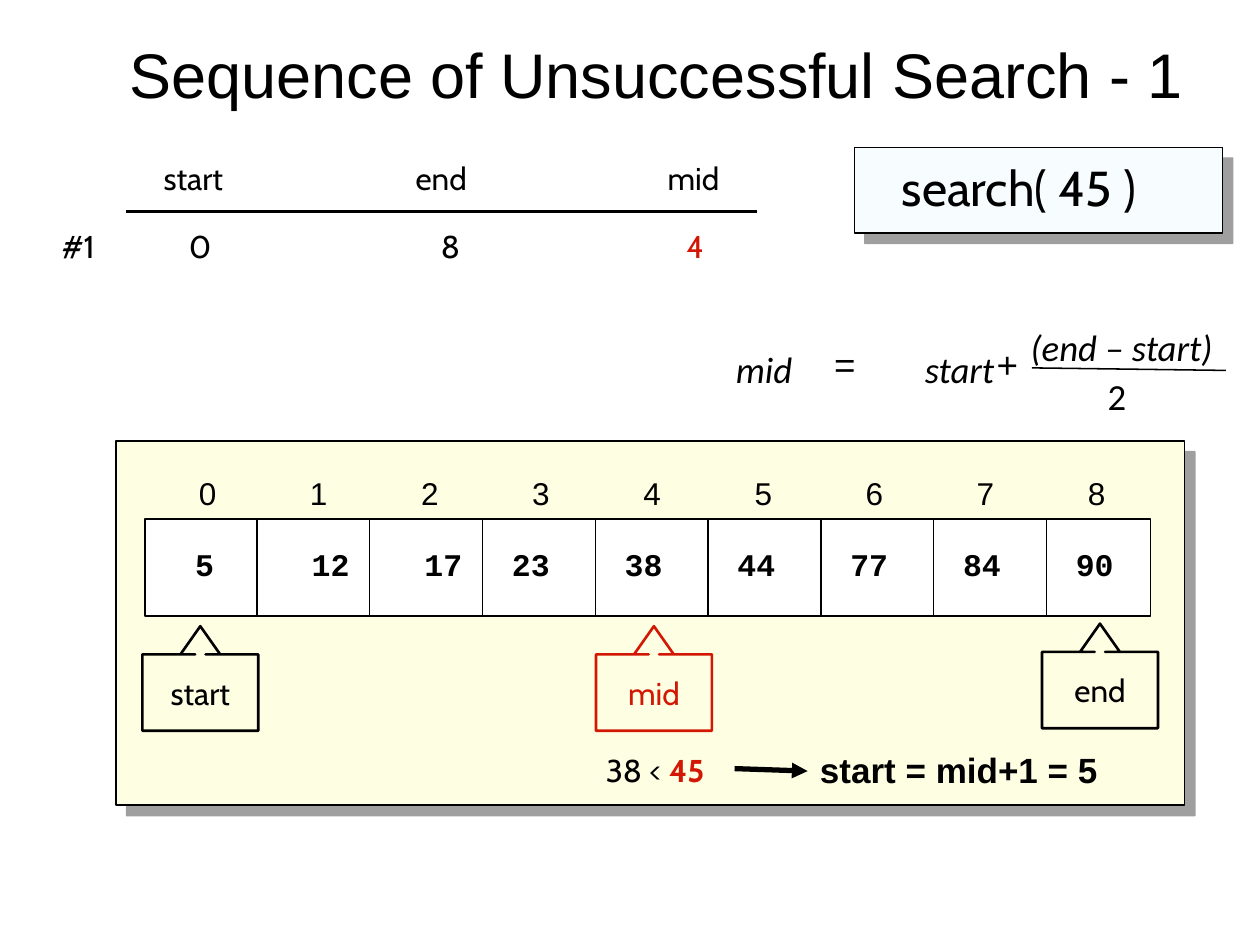
"""Build a slide that shows the first step of an unsuccessful binary search."""
import lxml.etree
import pptx
import pptx.dml.color
import pptx.enum.shapes
import pptx.enum.text
import pptx.oxml
import pptx.util

COLORS = {"ink": "000000", "accent": "D21804", "call": "F7FDFF",
          "panel": "FDFEE2", "cell": "FFFFFF", "shadow": "808080"}
INK = {name: pptx.dml.color.RGBColor.from_string(code) for name, code in COLORS.items()}
FORMATS = {
    "title": {"name": "Arial", "size": pptx.util.Pt(36)},
    "call": {"name": "Cabin", "size": pptx.util.Pt(28)},
    "label": {"name": "Cabin", "size": pptx.util.Pt(18)},
    "strong": {"name": "Cabin", "size": pptx.util.Pt(18), "bold": True},
    "index": {"name": "Arial", "size": pptx.util.Pt(18)},
    "value": {"name": "Courier New", "size": pptx.util.Pt(18), "bold": True},
    "result": {"name": "Arial", "size": pptx.util.Pt(20), "bold": True},
    "term": {"name": "Calibri", "size": pptx.util.Pt(21), "italic": True},
    "number": {"name": "Calibri", "size": pptx.util.Pt(21)},
    "operator": {"name": "Arial", "size": pptx.util.Pt(21)},
}
A = "http://schemas.openxmlformats.org/drawingml/2006/main"
SHAPE = pptx.enum.shapes.MSO_SHAPE

deck = pptx.Presentation()
deck.slide_width, deck.slide_height = pptx.util.Inches(10), pptx.util.Inches(7.5)
slide = deck.slides.add_slide(deck.slide_layouts[6])
column, row = deck.slide_width / 100, deck.slide_height / 75


def grid(x, y, across, down):
    """Turn grid columns and rows into slide lengths."""
    return round(x * column), round(y * row), round(across * column), round(down * row)


def write(frame, runs, centred=False, wrap=False, inset=True):
    """Fill a text frame with (text, format, colour) runs."""
    frame.word_wrap = wrap
    if not inset:
        frame.margin_left = frame.margin_right = frame.margin_top = frame.margin_bottom = 0
    paragraph = frame.paragraphs[0]
    tabs = lxml.etree.SubElement(paragraph._p.get_or_add_pPr(), f"{{{A}}}tabLst")
    for inch in range(8):
        lxml.etree.SubElement(tabs, f"{{{A}}}tab", pos=str(pptx.util.Inches(inch)), algn="l")
    paragraph.alignment = pptx.enum.text.PP_ALIGN.LEFT
    if centred:
        paragraph.alignment = pptx.enum.text.PP_ALIGN.CENTER
        frame.vertical_anchor = pptx.enum.text.MSO_ANCHOR.MIDDLE
    for text, style, color in runs:
        run = paragraph.add_run()
        run.text = text
        for attribute, setting in FORMATS[style].items():
            setattr(run.font, attribute, setting)
        run.font.color.rgb = INK[color]


cell_pitch, index_pitch = 8.95, 8.82
values = [5, 12, 17, 23, 38, 44, 77, 84, 90]
nudges = [1.7, 2, 2] + [0] * 6

for area, fill, shadowed in [((67.8, 11.7, 29.2, 6.8), "call", True),
                             ((9.2, 35, 84.8, 28.9), "panel", True),
                             ((11.5, 41.2, 79.8, 7.7), "cell", False)]:
    panel = slide.shapes.add_shape(SHAPE.RECTANGLE, *grid(*area))
    panel.shadow.inherit = False
    panel.fill.solid()
    panel.fill.fore_color.rgb = INK[fill]
    panel.line.color.rgb = INK["ink"]
    panel.line.width = pptx.util.Pt(0.75)
    if shadowed:
        effects = panel._element.spPr.find(f"{{{A}}}effectLst")
        effects.append(pptx.oxml.parse_xml(
            f'<a:outerShdw xmlns:a="{A}" dist="{pptx.util.Pt(8.5)}" dir="2700000" algn="ctr" '
            f'rotWithShape="0"><a:srgbClr val="{COLORS["shadow"]}"><a:alpha val="75000"/>'
            '</a:srgbClr></a:outerShdw>'))

dividers = [(20.4 + cell_pitch * i, 41.2, 0, 7.6, 0.75) for i in range(len(values) - 1)]
table_rule, fraction_bar = (10, 16.8, 50.1, 0, 1.5), (81.9, 29.2, 15.4, 0.2, 0.88)
arrow = (58.3, 61, 5.8, 0.2, 3)
for stroke in dividers + [table_rule, fraction_bar, arrow]:
    x, y, across, down = grid(*stroke[:4])
    rule = slide.shapes.add_connector(
        pptx.enum.shapes.MSO_CONNECTOR.STRAIGHT, x, y, x + across, y + down)
    rule.line.color.rgb = INK["ink"]
    rule.line.width = pptx.util.Pt(stroke[4])
    lxml.etree.SubElement(rule._element.spPr, f"{{{A}}}effectLst")
    if stroke is arrow:
        lxml.etree.SubElement(rule.line._get_or_add_ln(), f"{{{A}}}tailEnd", type="triangle")

for i, (value, nudge) in enumerate(zip(values, nudges)):
    for area, text, style in [
            ((14.8 + index_pitch * i, 37.1, 3.4, 4), str(i), "index"),
            ((12.8 + cell_pitch * i + nudge, 42.8, 5, 4), str(value), "value")]:
        entry = slide.shapes.add_textbox(*grid(*area))
        write(entry.text_frame, [(text, style, "ink")])

for x, y, pointer, color in [(82.7, 49.5, "end", "ink"), (11.3, 49.7, "start", "ink"),
                             (47.3, 49.7, "mid", "accent")]:
    callout = slide.shapes.add_shape(SHAPE.UP_ARROW_CALLOUT, *grid(x, y, 9.2, 8.3))
    for i, share in enumerate([0.1, 0.19, 0.27, 1.07]):
        callout.adjustments[i] = share
    callout.shadow.inherit = False
    callout.fill.background()
    callout.line.color.rgb = INK[color]
    callout.line.width = pptx.util.Pt(1.5)
    write(callout.text_frame, [(pointer, "label", color)], centred=True)

for area, runs, layout in [
        ((9.2, 1.7, 85.8, 8.3), [("Sequence of Unsuccessful Search - 1", "title", "ink")],
         {"centred": True, "wrap": True}),
        ((70.6, 12, 22.9, 5.7), [("search( 45 )", "call", "ink")], {}),
        ((12, 12.1, 46.5, 4), [("start\t\tend\t\tmid", "label", "ink")], {}),
        ((14, 17.5, 25.9, 4), [("0\t\t8", "label", "ink")], {"wrap": True}),
        ((3.9, 17.5, 5, 4), [("#1", "label", "ink")], {}),
        ((53.5, 17.5, 3.4, 4), [("4", "label", "accent")], {}),
        ((47.1, 59.1, 10.4, 4), [("38 < ", "label", "ink"), ("45", "strong", "accent")], {}),
        ((64.1, 58.9, 26, 4.4), [("start = mid+1 = 5", "result", "ink")], {}),
        ((58.4, 27.5, 4.5, 3.5), [("mid", "term", "ink")], {"inset": False}),
        ((66.2, 27.1, 2.3, 3.5), [("=", "operator", "ink")], {"inset": False}),
        ((73.4, 27.5, 5.6, 3.5), [("start", "term", "ink")], {"inset": False}),
        ((79.1, 27.1, 1.7, 3.5), [("+", "operator", "ink")], {"inset": False}),
        ((81.8, 25.8, 17, 3.5), [("(end – start)", "term", "ink")],
         {"inset": False, "wrap": True}),
        ((87.9, 29.7, 1.5, 3.5), [("2", "number", "ink")], {"inset": False})]:
    caption = slide.shapes.add_textbox(*grid(*area))
    write(caption.text_frame, runs, **layout)

deck.save("out.pptx")
